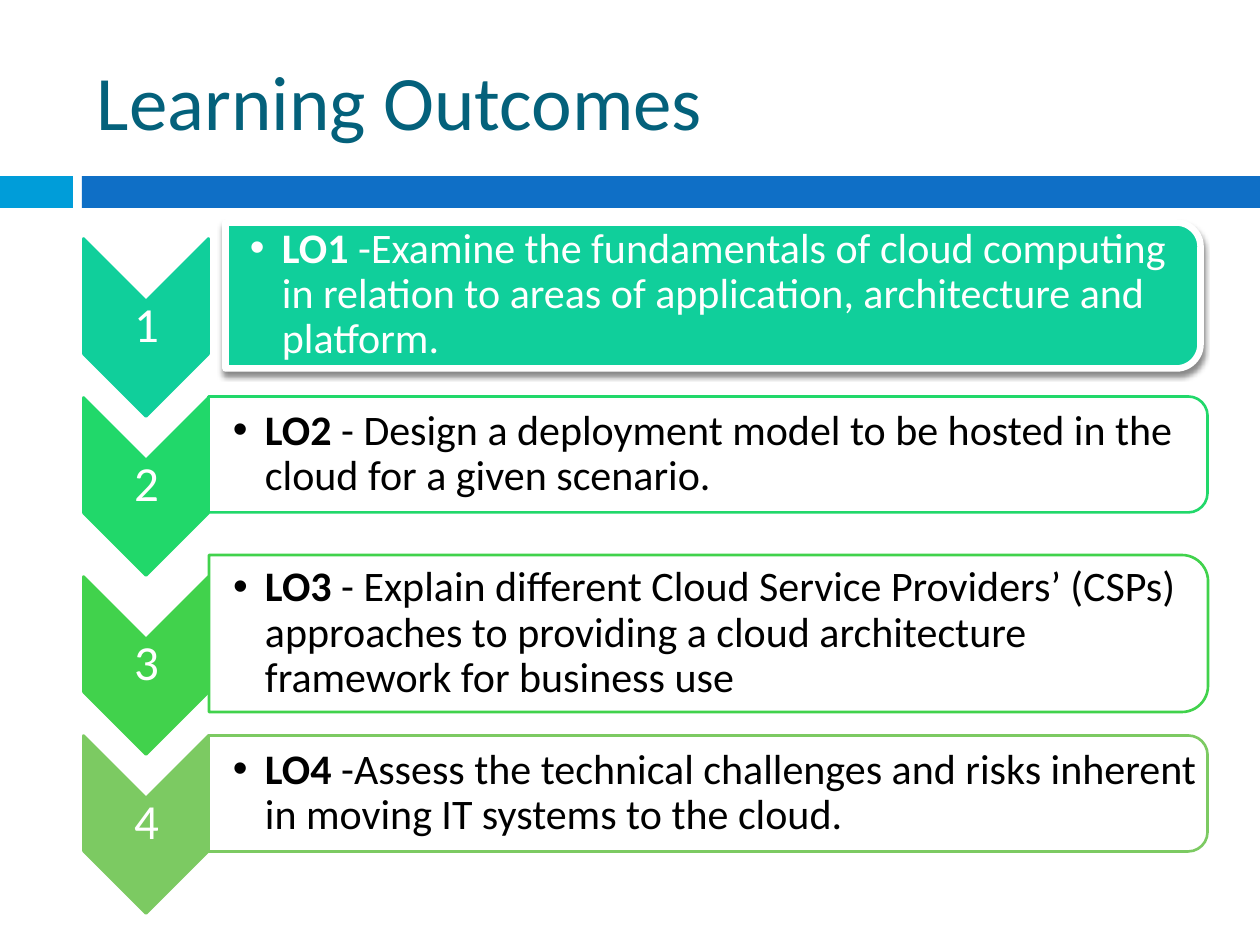
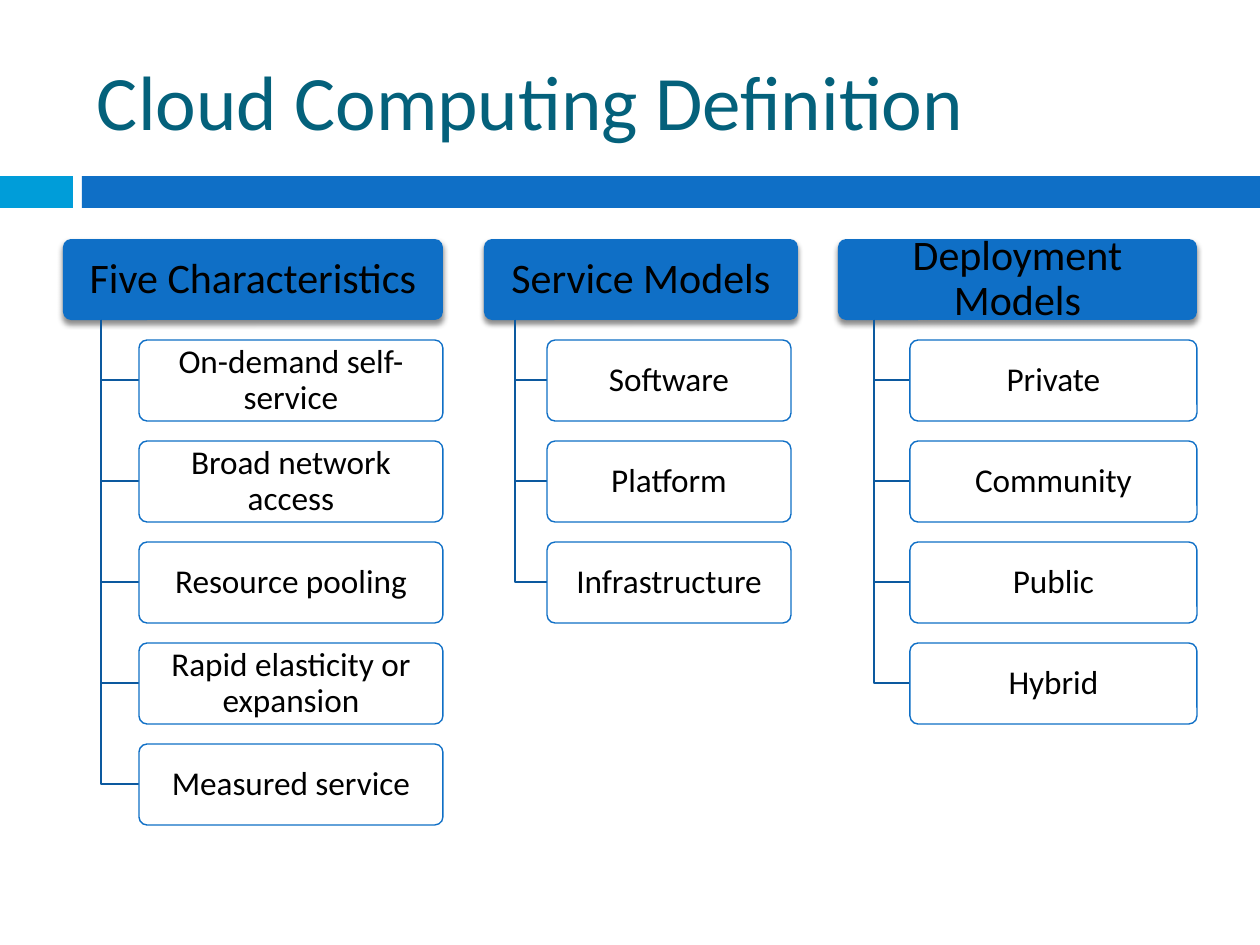
"""Build two slides on cloud computing: learning outcomes and definition."""
from dataclasses import dataclass
from typing import Any

from lxml import etree
from pptx import Presentation
from pptx.dml.color import RGBColor
from pptx.enum.shapes import MSO_SHAPE
from pptx.enum.text import MSO_ANCHOR, MSO_AUTO_SIZE, PP_ALIGN
from pptx.oxml.ns import qn
from pptx.util import Pt

PX = 914400 / 126
RECT = MSO_SHAPE.RECTANGLE
ROUNDED = MSO_SHAPE.ROUNDED_RECTANGLE
CHEVRON = MSO_SHAPE.CHEVRON
TAB = MSO_SHAPE.ROUND_2_SAME_RECTANGLE
LEFT, CENTER = PP_ALIGN.LEFT, PP_ALIGN.CENTER
MIDDLE, NO_FIT = MSO_ANCHOR.MIDDLE, MSO_AUTO_SIZE.NONE

FONT = "Calibri"
WHITE, BLACK = "FFFFFF", "000000"
BLUE, CYAN, TEAL, NAVY = "0F6FC6", "009DD9", "04617B", "0C599F"
TITLE_ONLY = 5
ROW_TOP, ROW_HEIGHT, ROW_STEP = 239, 81, 101


@dataclass(frozen=True)
class Box:
    left: int
    top: int
    width: int
    height: int

    def emu(self) -> tuple[int, ...]:
        """Return the box in EMU."""
        return tuple(round(v * PX) for v in (self.left, self.top, self.width, self.height))


@dataclass(frozen=True)
class Style:
    fill: str
    line: str | None = None
    weight: float = 0
    opacity: int = 100
    shadow: bool = False


@dataclass(frozen=True)
class Outcome:
    code: str
    wording: str
    color: str
    chevron_top: int
    panel: Box
    active: bool = False


@dataclass(frozen=True)
class Branch:
    heading: str
    left: int
    width: int
    item_width: int
    items: tuple[str, ...]


OUTCOMES = (
    Outcome("LO1", " -Examine the fundamentals of cloud computing in relation to areas of "
            "application, architecture and platform.", "10CF9B", 238, Box(226, 222, 975, 146), True),
    Outcome("LO2", " - Design a deployment model to be hosted in the cloud for a given scenario.",
            "21D86A", 397, Box(209, 396, 999, 116)),
    Outcome("LO3 ", "- Explain different Cloud Service Providers’ (CSPs) approaches to providing a "
            "cloud architecture framework for business use", "41D24C", 576, Box(209, 555, 999, 157)),
    Outcome("LO4 ", "-Assess the technical challenges and risks inherent in moving IT systems "
            "to the cloud.", "7CCA62", 735, Box(209, 735, 999, 116)),
)
BRANCHES = (
    Branch("Five Characteristics", 63, 380, 304,
           ("On-demand self-service", "Broad network access", "Resource pooling",
            "Rapid elasticity or expansion", "Measured service")),
    Branch("Service Models", 484, 314, 244, ("Software", "Platform", "Infrastructure")),
    Branch("Deployment Models", 838, 359, 287, ("Private", "Community", "Public", "Hybrid")),
)


def rgb(color: str) -> RGBColor:
    """Turn a hex string into a colour."""
    return RGBColor.from_string(color)


def set_values(target: Any, values: dict[str, Any]) -> None:
    """Set each named attribute on the target."""
    for name, value in values.items():
        setattr(target, name, value)


def add_shadow(shape: Any) -> None:
    """Give a shape a soft shadow below it."""
    effects = shape.element.spPr.find(qn("a:effectLst"))
    outer = etree.SubElement(effects, qn("a:outerShdw"), blurRad="38100", dist="30000",
                             dir="5400000", rotWithShape="0")
    shade = etree.SubElement(outer, qn("a:srgbClr"), val=BLACK)
    etree.SubElement(shade, qn("a:alpha"), val="45000")


def add_box(slide: Any, kind: Any, box: Box, style: Style) -> Any:
    """Draw a preset shape in the given style."""
    shape = slide.shapes.add_shape(kind, *box.emu())
    shape.shadow.inherit = False
    shape.fill.solid()
    shape.fill.fore_color.rgb = rgb(style.fill)
    if style.opacity < 100:
        tint = shape.element.spPr.find(qn("a:solidFill")).find(qn("a:srgbClr"))
        etree.SubElement(tint, qn("a:alpha"), val=str(style.opacity * 1000))
    if style.line:
        shape.line.color.rgb = rgb(style.line)
        shape.line.width = Pt(style.weight)
    else:
        shape.line.fill.background()
    if style.shadow:
        add_shadow(shape)
    return shape


def add_turned(slide: Any, kind: Any, seen: Box, style: Style) -> None:
    """Draw a shape turned a quarter so that it covers the seen box."""
    shift = (seen.width - seen.height) // 2
    upright = Box(seen.left + shift, seen.top - shift, seen.height, seen.width)
    add_box(slide, kind, upright, style).rotation = 90


def write(frame: Any, runs: dict[str, bool], size: int, color: str, align: Any = CENTER,
          insets: tuple[int, ...] = (3, 3, 3, 3), spacing: float = 0.9) -> Any:
    """Fill a text frame with one paragraph of runs, each bold or not."""
    left, top, right, bottom = (round(v * PX) for v in insets)
    set_values(frame, {"word_wrap": True, "auto_size": NO_FIT, "vertical_anchor": MIDDLE,
                       "margin_left": left, "margin_top": top,
                       "margin_right": right, "margin_bottom": bottom})
    paragraph = frame.paragraphs[0]
    set_values(paragraph, {"alignment": align, "line_spacing": spacing})
    for words, bold in runs.items():
        run = paragraph.add_run()
        run.text = words
        set_values(run.font, {"name": FONT, "size": Pt(size), "bold": bold})
        run.font.color.rgb = rgb(color)
    return paragraph


def add_bullet(paragraph: Any, indent: int) -> None:
    """Give a paragraph a hanging round bullet."""
    props = paragraph._p.get_or_add_pPr()
    props.set("marL", str(round(indent * PX)))
    props.set("indent", str(-round(indent * PX)))
    etree.SubElement(props, qn("a:buFont"), typeface="Arial")
    etree.SubElement(props, qn("a:buChar"), char="•")


def start_slide(deck: Any, heading: str) -> Any:
    """Add a slide with the shared bands and title."""
    slide = deck.slides.add_slide(deck.slide_layouts[TITLE_ONLY])
    for band, color in ((Box(0, 176, 73, 32), CYAN), (Box(82, 176, 1178, 32), BLUE)):
        add_box(slide, RECT, band, Style(color))
    title = slide.shapes.title
    left, top, width, height = Box(84, 32, 1124, 136).emu()
    set_values(title, {"left": left, "top": top, "width": width, "height": height})
    write(title.text_frame, {heading: False}, 44, TEAL, LEFT, (13, 6, 13, 6), 1.0)
    return slide


def draw_outcome(slide: Any, number: int, outcome: Outcome) -> None:
    """Draw a numbered chevron and the panel beside it."""
    top, panel = outcome.chevron_top, outcome.panel
    add_turned(slide, CHEVRON, Box(84, top, 125, 178), Style(outcome.color, outcome.color, 1.5))
    label = slide.shapes.add_textbox(*Box(84, top + 62, 125, 53).emu())
    write(label.text_frame, {str(number): False}, 28, WHITE)

    style = (Style(outcome.color, WHITE, 3.75, shadow=True) if outcome.active
             else Style(WHITE, outcome.color, 1.5, opacity=90))
    add_turned(slide, TAB, panel, style)
    inset = round(panel.height * 0.05)
    inner = Box(panel.left, panel.top + inset, panel.width - inset, panel.height - 2 * inset)
    statement = slide.shapes.add_textbox(*inner.emu())
    paragraph = write(statement.text_frame, {outcome.code: True, outcome.wording: False}, 24,
                      WHITE if outcome.active else BLACK, LEFT, (24, 3, 3, 3))
    add_bullet(paragraph, 32)


def draw_card(slide: Any, box: Box, words: str, size: int, style: Style) -> None:
    """Draw a rounded card with centred text."""
    card = add_box(slide, ROUNDED, box, style)
    card.adjustments[0] = 0.1
    write(card.text_frame, {words: False}, size, BLACK, insets=(9, 6, 9, 6))


def draw_elbow(slide: Any, trunk: int, top: int, end: int, middle: int) -> None:
    """Draw the line from a heading down and across to an item."""
    builder = slide.shapes.build_freeform(trunk, top, scale=PX)
    builder.add_line_segments([(trunk, middle), (end, middle)], close=False)
    elbow = builder.convert_to_shape()
    elbow.shadow.inherit = False
    elbow.fill.background()
    elbow.line.color.rgb = rgb(NAVY)
    elbow.line.width = Pt(1.5)


def draw_branch(slide: Any, branch: Branch) -> None:
    """Draw a heading with its items hanging below."""
    draw_card(slide, Box(branch.left, ROW_TOP, branch.width, ROW_HEIGHT), branch.heading, 24,
              Style(BLUE, shadow=True))
    trunk = branch.left + round(branch.width * 0.1)
    item_left = branch.left + round(branch.width * 0.2)
    for row, item in enumerate(branch.items, 1):
        top = ROW_TOP + row * ROW_STEP
        draw_elbow(slide, trunk, ROW_TOP + ROW_HEIGHT, item_left, top + ROW_HEIGHT // 2)
        draw_card(slide, Box(item_left, top, branch.item_width, ROW_HEIGHT), item, 19,
                  Style(WHITE, BLUE, 0.79, opacity=90))


def main() -> None:
    """Build and save the deck."""
    deck = Presentation()
    set_values(deck, {"slide_width": round(1260 * PX), "slide_height": round(945 * PX)})
    outcomes = start_slide(deck, "Learning Outcomes")
    for number, outcome in enumerate(OUTCOMES, 1):
        draw_outcome(outcomes, number, outcome)
    definition = start_slide(deck, "Cloud Computing Definition")
    for branch in BRANCHES:
        draw_branch(definition, branch)
    deck.save("out.pptx")


if __name__ == "__main__":
    main()
